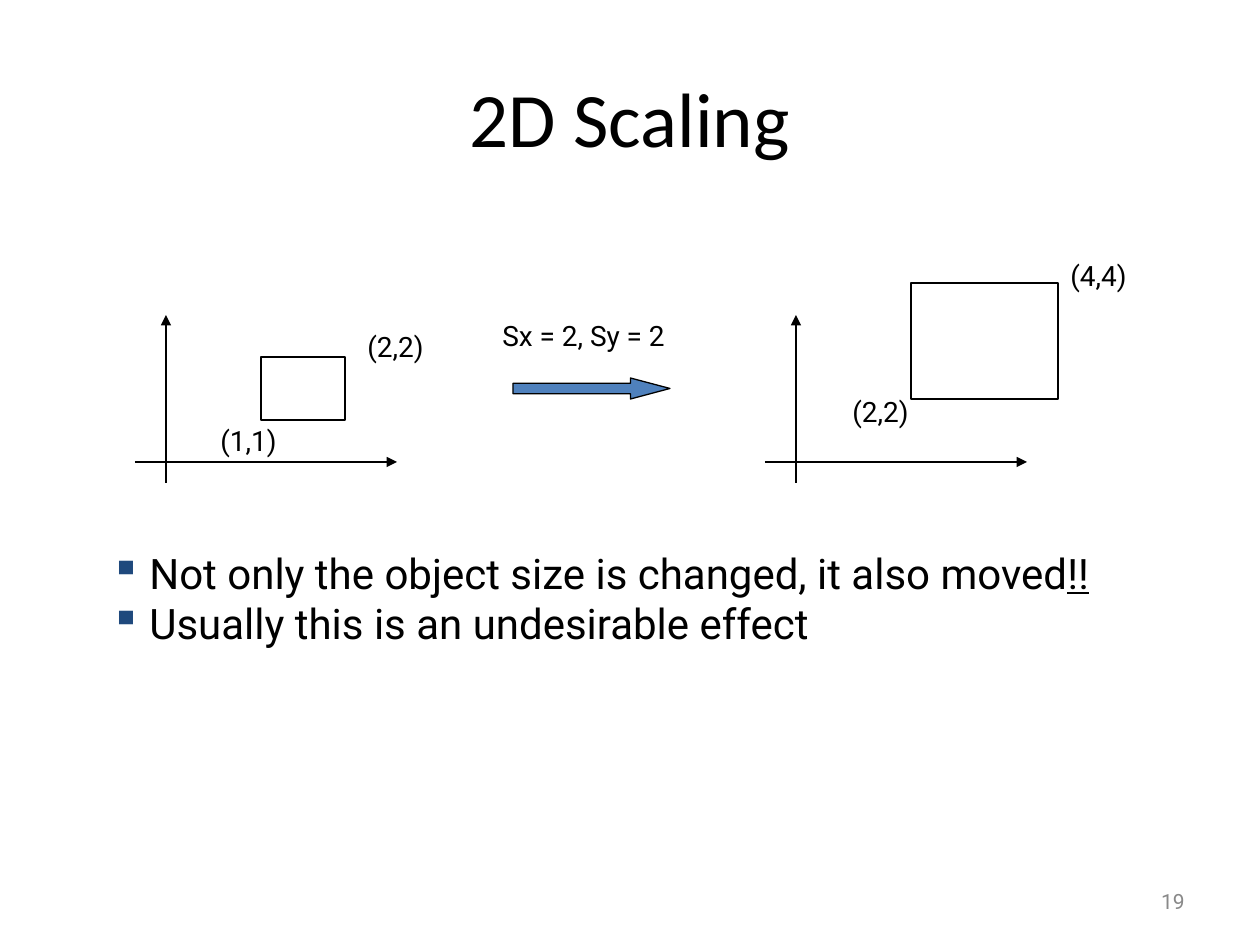
import lxml.etree
import pptx
import pptx.dml.color
import pptx.enum.shapes
import pptx.enum.text
import pptx.oxml.ns
import pptx.util

RGB = pptx.dml.color.RGBColor
BLACK = RGB(0, 0, 0)
GREY = RGB(0x89, 0x89, 0x89)
BLUE = RGB(0x4F, 0x81, 0xBD)
NAVY = RGB(0x1F, 0x49, 0x7D)
SCALE = 914400 / 126  # EMU per px
SHAPE = pptx.enum.shapes.MSO_SHAPE
ALIGN = pptx.enum.text.PP_ALIGN
MIDDLE = pptx.enum.text.MSO_ANCHOR.MIDDLE

TITLE = "2D Scaling"
PAGE = "19"
# Each plot: left edge, square (left, top, width, height), labels (text, left, top)
PLOTS = [
    (135, (261, 357, 84, 63), [("(1,1)", 208, 417), ("(2,2)", 355, 323)]),
    (765, (911, 283, 147, 116), [("(2,2)", 840, 388), ("(4,4)", 1058, 252)]),
]
# Axes as (x1, y1, x2, y2), x counted from the left edge of the plot
AXES = [(31, 483, 31, 315), (0, 462, 262, 462)]
FACTOR = "Sx = 2, Sy = 2"
# Each bullet: plain part, underlined part
BULLETS = [
    ("Not only the object size is changed, it also moved", "!!"),
    ("Usually this is an undesirable effect", ""),
]
INDENT = 39


def px(*vals):
    return [round(v * SCALE) for v in vals]


def add_xml(parent, tag, **attrs):
    return lxml.etree.SubElement(parent, pptx.oxml.ns.qn(tag), attrs)


def style(para, size, color=BLACK, name="Roboto"):
    para.font.size = pptx.util.Pt(size)
    para.font.name = name
    para.font.color.rgb = color


def add_box(slide, box, wrap=True):
    frame = slide.shapes.add_textbox(*px(*box)).text_frame
    frame.word_wrap = wrap
    return frame


def add_label(slide, text, left, top, width=81):
    para = add_box(slide, (left, top, width, 47), False).paragraphs[0]
    para.text = text
    style(para, 16)


def set_line(shape):
    shape.line.color.rgb = BLACK
    shape.line.width = pptx.util.Pt(0.75)


def add_axis(slide, ends):
    kind = pptx.enum.shapes.MSO_CONNECTOR.STRAIGHT
    axis = slide.shapes.add_connector(kind, *px(*ends))
    set_line(axis)
    add_xml(axis.line._get_or_add_ln(), "a:tailEnd", type="triangle")
    add_xml(axis._element.spPr, "a:effectLst")


def add_shape(slide, kind, box, fill=None):
    shape = slide.shapes.add_shape(kind, *px(*box))
    shape.shadow.inherit = False
    if fill is None:
        shape.fill.background()
    else:
        shape.fill.solid()
        shape.fill.fore_color.rgb = fill
    set_line(shape)
    return shape


def add_bullet(para, plain, under):
    props = para._p.get_or_add_pPr()
    margin = px(INDENT)[0]
    props.set("marL", str(margin))
    props.set("indent", str(-margin))
    add_xml(add_xml(props, "a:buClr"), "a:srgbClr", val=str(NAVY))
    add_xml(props, "a:buChar", char="▪")
    style(para, 24)
    para.add_run().text = plain
    if under:
        run = para.add_run()
        run.text = under
        run.font.underline = True


def main():
    deck = pptx.Presentation()
    deck.slide_width, deck.slide_height = px(1260, 945)
    slide = deck.slides.add_slide(deck.slide_layouts[5])

    title = slide.shapes.title
    title.left, title.top, title.width, title.height = px(63, 38, 1134, 157)
    title.text_frame.text = TITLE
    title.text_frame.vertical_anchor = MIDDLE
    head = title.text_frame.paragraphs[0]
    head.alignment = ALIGN.CENTER
    style(head, 44, name="Calibri")

    for left, square, labels in PLOTS:
        for x1, y1, x2, y2 in AXES:
            add_axis(slide, (left + x1, y1, left + x2, y2))
        add_shape(slide, SHAPE.RECTANGLE, square)
        for label in labels:
            add_label(slide, *label)

    arrow = add_shape(slide, SHAPE.RIGHT_ARROW, (513, 378, 157, 21), BLUE)
    arrow.adjustments[0] = 0.5
    arrow.adjustments[1] = 1.88
    add_label(slide, FACTOR, 490, 312, 207)

    notes = add_box(slide, (98, 541, 1058, 164))
    for i, bullet in enumerate(BULLETS):
        para = notes.add_paragraph() if i else notes.paragraphs[0]
        add_bullet(para, *bullet)

    foot = add_box(slide, (903, 876, 294, 50))
    foot.vertical_anchor = MIDDLE
    number = foot.paragraphs[0]
    number.text = PAGE
    number.alignment = ALIGN.RIGHT
    style(number, 12, GREY)

    deck.save("out.pptx")


if __name__ == "__main__":
    main()
